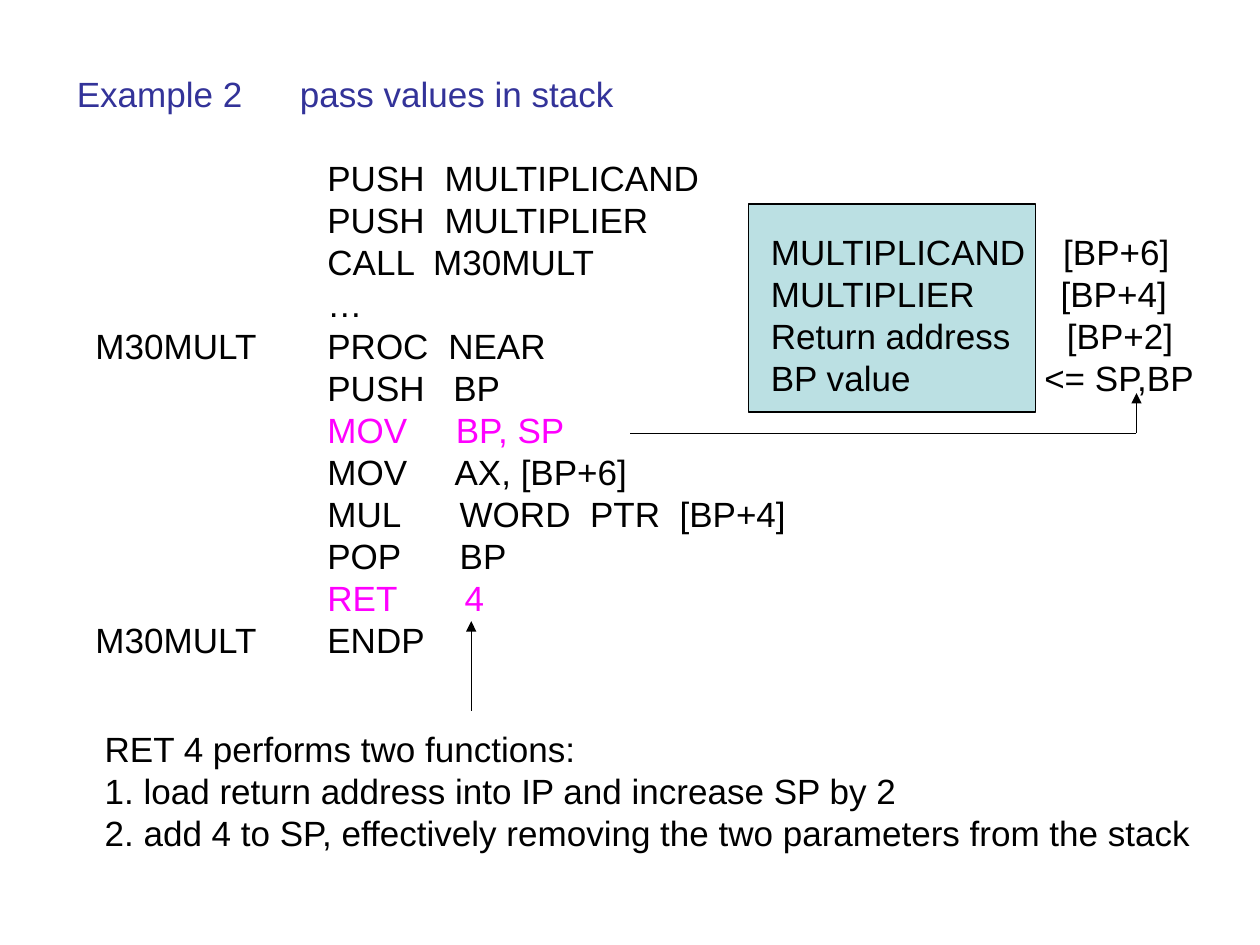
from lxml import etree
from pptx import Presentation, util as u
from pptx.dml.color import RGBColor
from pptx.enum import shapes, text
from pptx.oxml.ns import qn

COLORS = {"title": "333399", "ink": "000000", "key": "FF00FF", "stack": "BBE0E3"}
COL, ROW = u.Inches(1), u.Inches(1) // 3  # one row is one line of text
PAD = 0.1  # side inset of a text frame, in columns

deck = Presentation()
deck.slide_width, deck.slide_height = 10 * COL, int(22.5 * ROW)
slide = deck.slides.add_slide(deck.slide_layouts[1])


def grid(*cells):
    """Turn alternating columns and rows into lengths."""
    return [int(cell * (ROW if i % 2 else COL)) for i, cell in enumerate(cells)]


def write(box, lines, at, color="ink", numbered=False):
    """Fill box with (text, tab columns, key part) lines; columns are on the slide."""
    box.left, box.top, box.width, box.height = grid(*at)
    frame = box.text_frame
    frame.word_wrap = True
    frame.auto_size = text.MSO_AUTO_SIZE.NONE
    frame.vertical_anchor = text.MSO_ANCHOR.TOP
    for i, (words, tabs, key) in enumerate(lines):
        line = frame.paragraphs[0] if i == 0 else frame.add_paragraph()
        props = line._p.get_or_add_pPr()
        if numbered:  # an explicit indent would cancel the tab stops elsewhere
            hang = int(0.31 * COL) if i else 0
            props.set("marL", str(hang))
            props.set("indent", str(-hang))
        if numbered and i:
            etree.SubElement(props, qn("a:buFont"), typeface="Arial")
            etree.SubElement(props, qn("a:buAutoNum"), type="arabicPeriod")
        else:
            etree.SubElement(props, qn("a:buNone"))
        if tabs:
            stops = etree.SubElement(props, qn("a:tabLst"))
            for tab in tabs:
                stop = int((tab - at[0] - PAD) * COL)
                etree.SubElement(stops, qn("a:tab"), pos=str(stop), algn="l")
        line.alignment = text.PP_ALIGN.LEFT
        line.line_spacing = u.Pt(24)
        line.space_before = u.Pt(0)
        run = line.add_run()
        run.text = words
        run.font.name, run.font.size = "Arial", u.Pt(20)
        run.font.color.rgb = RGBColor.from_string(COLORS["key" if key else color])


stack = slide.shapes.add_shape(shapes.MSO_SHAPE.RECTANGLE, *grid(5.94, 4.86, 2.28, 4.95))
stack.shadow.inherit = False
stack.fill.solid()
stack.fill.fore_color.rgb = RGBColor.from_string(COLORS["stack"])
stack.line.color.rgb = RGBColor.from_string(COLORS["ink"])
stack.line.width = u.Pt(0.75)

write(slide.shapes.title, [("Example 2\tpass values in stack", [2.38], False)],
      at=(0.51, 1.58, 5.84, 1.3), color="title")

# label, instruction, operand, column of the operand
listing = [
    ("", "PUSH", "MULTIPLICAND", 3.53),
    ("", "PUSH", "MULTIPLIER", 3.53),
    ("", "CALL", "M30MULT", 3.44),
    ("", "…", "", None),
    ("M30MULT", "PROC", "NEAR", 3.56),
    ("", "PUSH", "BP", 3.6),
    ("", "MOV", "BP, SP", 3.62),
    ("", "MOV", "AX, [BP+6]", 3.61),
    ("", "MUL", "WORD  PTR  [BP+4]", 3.65),
    ("", "POP", "BP", 3.65),
    ("", "RET", "4", 3.69),
    ("M30MULT", "ENDP", "", None),
]
code = []
for label, instruction, operand, column in listing:
    words, tabs = f"{label}\t{instruction}", [2.6]
    if operand:
        words, tabs = f"{words}\t{operand}", tabs + [column]
    code.append((words, tabs, (instruction, operand) in [("MOV", "BP, SP"), ("RET", "4")]))
write(slide.shapes.add_textbox(0, 0, 0, 0), code, at=(0.66, 3.57, 5.8, 12.3))

frame_rows = [
    ("MULTIPLICAND\t[BP+6]", [8.44], False),
    ("MULTIPLIER\t[BP+4]", [8.42], False),
    ("Return address\t[BP+2]", [8.47], False),
    ("BP value\t<= SP,BP", [8.29], False),
]
write(slide.shapes.add_textbox(0, 0, 0, 0), frame_rows, at=(6.02, 5.34, 3.7, 4.3))

notes = ["RET 4 performs two functions:",
         "load return address into IP and increase SP by 2",
         "add 4 to SP, effectively removing the two parameters from the stack"]
write(slide.placeholders[1], [(note, [], False) for note in notes],
      at=(0.73, 17.16, 9, 3.3), numbered=True)

# start column and row, end column and row, arrowhead
for *ends, arrow in [(5, 10.32, 9.02, 10.32, False),
                     (9.02, 10.32, 9.02, 9.36, True),
                     (3.74, 16.92, 3.74, 14.79, True)]:
    link = slide.shapes.add_connector(shapes.MSO_CONNECTOR.STRAIGHT, *grid(*ends))
    link.line.color.rgb = RGBColor.from_string(COLORS["ink"])
    link.line.width = u.Pt(0.75)
    if arrow:
        etree.SubElement(link.line._get_or_add_ln(), qn("a:tailEnd"), type="triangle")
    etree.SubElement(link._element.spPr, qn("a:effectLst"))

deck.save("out.pptx")
